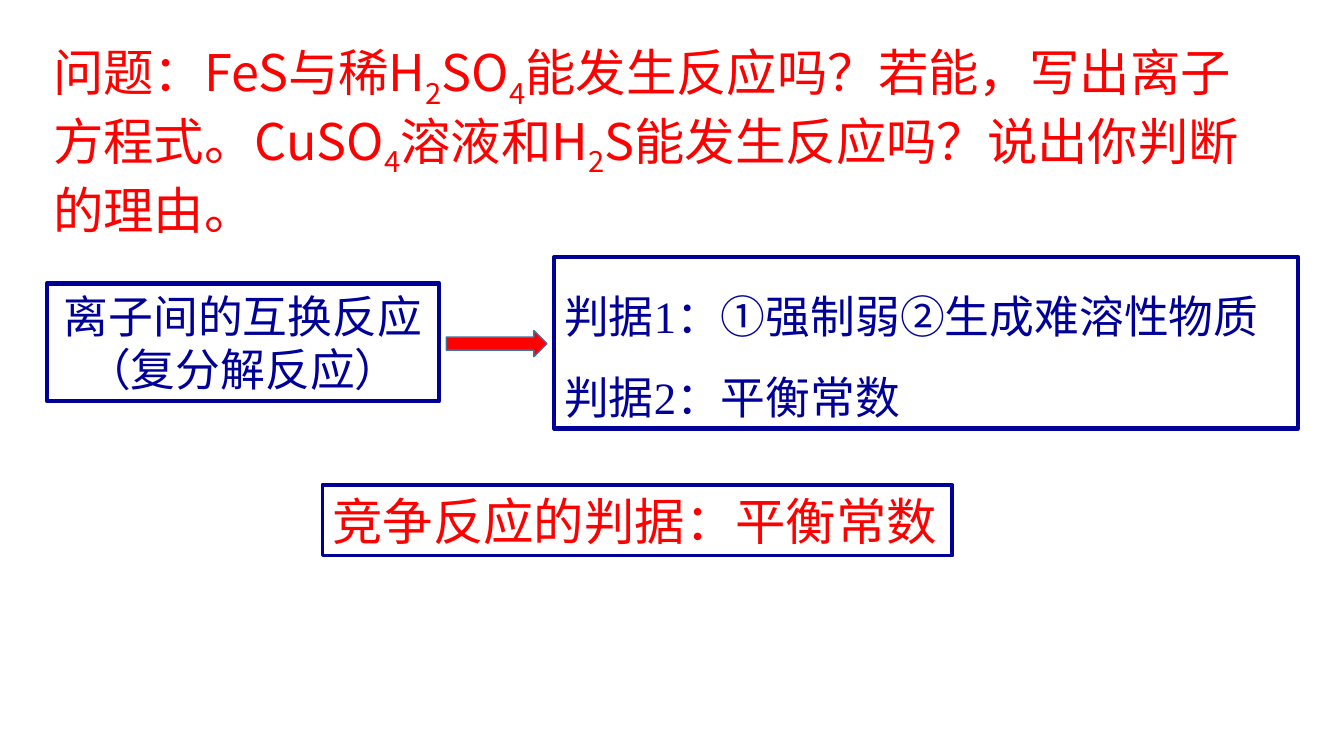
"""Build a slide on criteria for competing ionic reactions."""
import pptx
import pptx.dml.color
import pptx.enum.shapes
import pptx.enum.text
import pptx.oxml.ns
import pptx.util
from lxml import etree
from pptx.util import Cm

SHAPE = pptx.enum.shapes.MSO_SHAPE
ALIGN = pptx.enum.text.PP_ALIGN
HAN_FONT = "Noto Sans CJK SC"
RED, NAVY = "FF0000", "000099"


def color(hex_text):
    return pptx.dml.color.RGBColor.from_string(hex_text)


def add_run(para, text, size, font, ink, subscript=False):
    span = para.add_run()
    span.text = text
    span.font.size = pptx.util.Pt(size)
    span.font.name = font
    span.font.color.rgb = color(ink)
    properties = span._r.get_or_add_rPr()
    etree.SubElement(properties, pptx.oxml.ns.qn("a:ea"), typeface=HAN_FONT)
    if subscript:
        properties.set("baseline", "-25000")


deck = pptx.Presentation()
deck.slide_width, deck.slide_height = Cm(33.88), Cm(19.05)
page = deck.slides.add_slide(deck.slide_layouts[6])

question = page.shapes.add_textbox(Cm(1.09), Cm(0.91), Cm(31.37), Cm(5.26))
question.text_frame.word_wrap = True
question_parts = [
    "问题：FeS与稀H", "2", "SO", "4", "能发生反应吗？若能，写出离子方程式。CuSO", "4",
    "溶液和H", "2", "S能发生反应吗？说出你判断的理由。",
]
for part in question_parts:
    add_run(question.text_frame.paragraphs[0], part, 36, HAN_FONT, RED, part.isdigit())

framed_boxes = [
    (8.13, 12.22, 15.88, 1.78, 2.75, ["竞争反应的判据：平衡常数"],
     36, HAN_FONT, RED, ALIGN.LEFT, 1),
    (1.19, 7.14, 9.88, 2.97, 3.25, ["离子间的互换反应（复分解反应）"],
     32, HAN_FONT, NAVY, ALIGN.CENTER, 1),
    (13.97, 6.48, 18.75, 4.32, 3.25, ["判据1：①强制弱②生成难溶性物质", "判据2：平衡常数"],
     32, "Times New Roman", NAVY, ALIGN.LEFT, 1.5),
]
for left, top, width, height, border, lines, size, font, ink, align, spacing in framed_boxes:
    box = page.shapes.add_shape(SHAPE.RECTANGLE, Cm(left), Cm(top), Cm(width), Cm(height))
    box.shadow.inherit = False
    box.fill.background()
    box.line.color.rgb = color(NAVY)
    box.line.width = pptx.util.Pt(border)
    frame = box.text_frame
    frame.word_wrap = True
    frame.vertical_anchor = pptx.enum.text.MSO_ANCHOR.TOP
    for index, line in enumerate(lines):
        para = frame.add_paragraph() if index else frame.paragraphs[0]
        para.alignment = align
        para.line_spacing = spacing
        add_run(para, line, size, font, ink)

arrow = page.shapes.add_shape(SHAPE.RIGHT_ARROW, Cm(11.25), Cm(8.33), Cm(2.54), Cm(0.66))
arrow.shadow.inherit = False
arrow.fill.solid()
arrow.fill.fore_color.rgb = color(RED)
arrow.line.color.rgb = color("41719C")
arrow.line.width = pptx.util.Pt(1)

deck.save("out.pptx")
